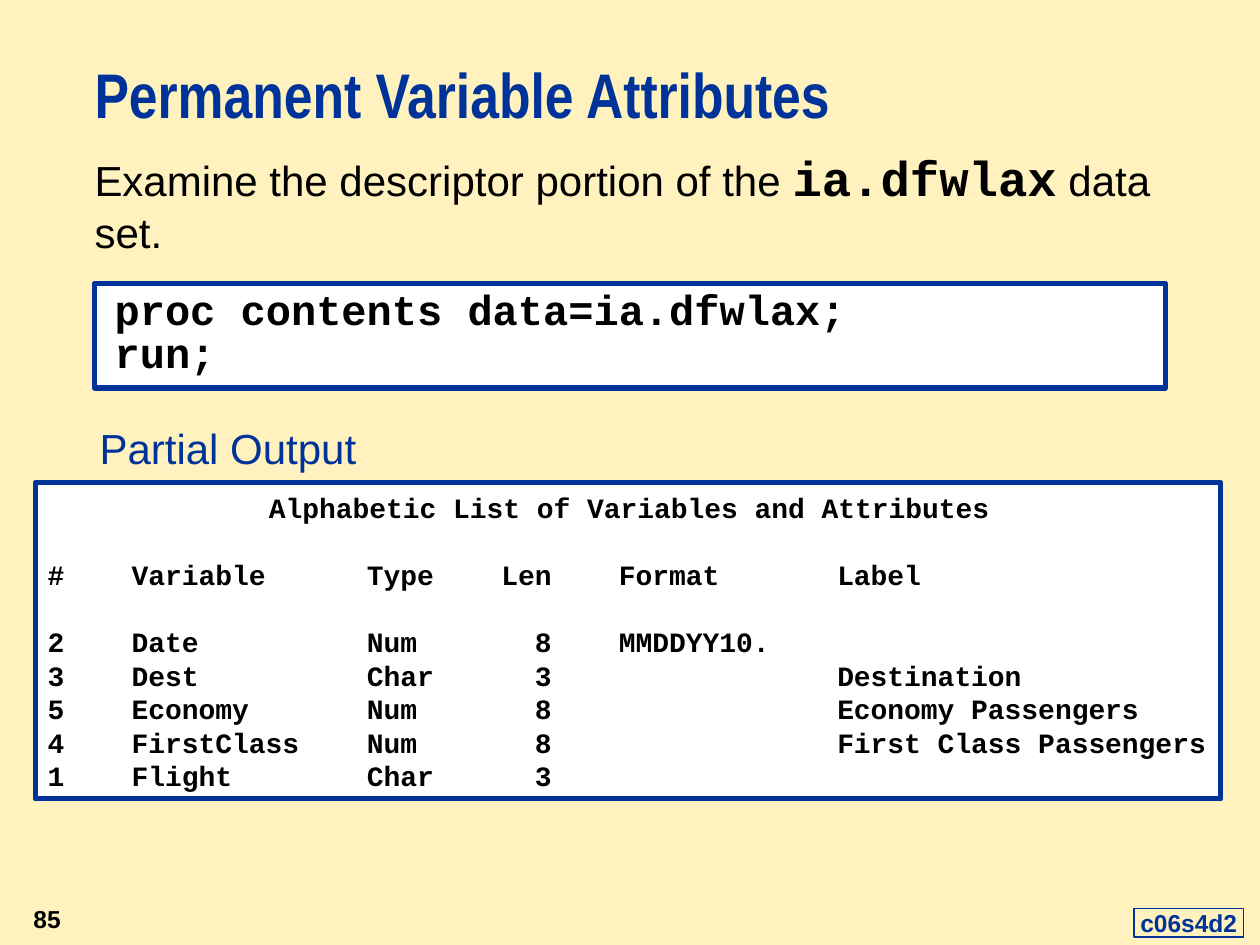
from pptx import Presentation
from pptx.dml.color import RGBColor
from pptx.enum.shapes import MSO_SHAPE
from pptx.enum.text import MSO_ANCHOR, PP_ALIGN
from pptx.oxml.ns import qn
from pptx.util import Inches, Pt
from lxml import etree

CREAM, WHITE, BLUE, BLACK = "FFF2BE", "FFFFFF", "003399", "000000"

TITLE = {"name": "Arial Narrow", "size": Pt(36), "bold": True}
BODY = {"name": "Arial", "size": Pt(24), "bold": False}
DATASET = {"name": "Courier New", "size": Pt(28), "bold": True}
CODE = {"name": "Courier New", "size": Pt(24), "bold": True}
LISTING = {"name": "Courier New", "size": Pt(16), "bold": True}
FOOTER = {"name": "Arial", "size": Pt(14), "bold": True}

CODE_LINES = ["proc contents data=ia.dfwlax;", "run;"]
LISTING_TITLE = "Alphabetic List of Variables and Attributes"
ROWS = [
    ("#", "Variable", "Type", "Len", "Format", "Label"),
    ("2", "Date", "Num", "8", "MMDDYY10."),
    ("3", "Dest", "Char", "3", "", "Destination"),
    ("5", "Economy", "Num", "8", "", "Economy Passengers"),
    ("4", "FirstClass", "Num", "8", "", "First Class Passengers"),
    ("1", "Flight", "Char", "3"),
]
CHARACTER_WIDTH = 0.6 * 16 / 72
# Tab stops as character columns of the listing
COLUMN_STOPS = [(5, "l"), (19, "l"), (30, "r"), (34, "l"), (47, "l")]
BLANK_LINE = Pt(19.2)


def color(value):
    return RGBColor.from_string(value)


def apply(target, values):
    for name, value in values.items():
        setattr(target, name, value)


def set_frame(shape, insets=(0, 0, 0, 0), anchor=MSO_ANCHOR.TOP, wrap=True):
    left, top, right, bottom = (Inches(inset) for inset in insets)
    apply(shape.text_frame, {
        "margin_left": left, "margin_top": top,
        "margin_right": right, "margin_bottom": bottom,
        "vertical_anchor": anchor, "word_wrap": wrap,
    })
    return shape.text_frame


def add_span(para, text, style, ink=BLACK):
    span = para.add_run()
    span.text = text
    apply(span.font, style)
    span.font.color.rgb = color(ink)


def next_para(frame, align=PP_ALIGN.LEFT):
    """Return the unused first paragraph, or a new one."""
    first = frame.paragraphs[0]
    para = frame.add_paragraph() if first.runs else first
    para.alignment = align
    return para


def add_tabs(para):
    tabs = etree.SubElement(para._p.get_or_add_pPr(), qn("a:tabLst"))
    for column, align in COLUMN_STOPS:
        position = Inches(column * CHARACTER_WIDTH)
        etree.SubElement(tabs, qn("a:tab"), pos=str(position), algn=align)


def add_text(page, box):
    return page.shapes.add_textbox(*map(Inches, box))


def add_frame_box(page, box, line_width, fill=None):
    shape = page.shapes.add_shape(MSO_SHAPE.RECTANGLE, *map(Inches, box))
    shape.shadow.inherit = False
    if fill:
        shape.fill.solid()
        shape.fill.fore_color.rgb = color(fill)
    else:
        shape.fill.background()
    shape.line.color.rgb = color(BLUE)
    shape.line.width = Pt(line_width)
    return shape


def place_title(page, box):
    title = page.shapes.title
    apply(title, dict(zip(("left", "top", "width", "height"), map(Inches, box))))
    para = next_para(set_frame(title))
    para.line_spacing = Pt(39)
    add_span(para, "Permanent Variable Attributes", TITLE, BLUE)


def place_introduction(page, box):
    para = next_para(set_frame(add_text(page, box)))
    add_span(para, "Examine the descriptor portion of the ", BODY)
    add_span(para, "ia.dfwlax", DATASET)
    add_span(para, " data set.", BODY)


def place_code(page, box):
    shape = add_frame_box(page, box, 3, WHITE)
    frame = set_frame(shape, (0.16, 0.06, 0.06, 0.06))
    for line in CODE_LINES:
        para = next_para(frame)
        para.line_spacing = 0.85
        add_span(para, line, CODE)


def place_output_label(page, box):
    frame = set_frame(add_text(page, box), anchor=MSO_ANCHOR.BOTTOM)
    add_span(next_para(frame), "Partial Output", BODY, BLUE)


def place_listing(page, box):
    shape = add_frame_box(page, box, 3, WHITE)
    frame = set_frame(shape, (0.1, 0.06, 0.08, 0.06))
    add_span(next_para(frame, PP_ALIGN.CENTER), LISTING_TITLE, LISTING)
    for index, row in enumerate(ROWS):
        para = next_para(frame)
        if index < 2:
            para.space_before = BLANK_LINE
        add_tabs(para)
        add_span(para, "\t".join(row), LISTING)


def place_page_number(page, box):
    frame = set_frame(add_text(page, box), (0.1, 0.05, 0.1, 0.05), MSO_ANCHOR.MIDDLE)
    add_span(next_para(frame, PP_ALIGN.RIGHT), "85", FOOTER)


def place_program_tag(page, box):
    shape = add_frame_box(page, box, 1)
    frame = set_frame(shape, (0.05, 0, 0.05, 0), MSO_ANCHOR.BOTTOM, wrap=False)
    add_span(next_para(frame), "c06s4d2", FOOTER, BLUE)


def main():
    deck = Presentation()
    deck.slide_width, deck.slide_height = Inches(10), Inches(7.5)
    page = deck.slides.add_slide(deck.slide_layouts[5])
    page.background.fill.solid()
    page.background.fill.fore_color.rgb = color(CREAM)

    place_title(page, (0.75, 0.5, 8.58, 0.75))
    place_introduction(page, (0.75, 1.17, 8.59, 0.97))
    place_code(page, (0.75, 2.25, 8.5, 0.83))
    place_output_label(page, (0.79, 3.35, 2.58, 0.4))
    place_listing(page, (0.28, 3.83, 9.41, 2.51))
    place_page_number(page, (0, 7.08, 0.58, 0.42))
    place_program_tag(page, (9, 7.21, 0.87, 0.23))
    deck.save("out.pptx")


if __name__ == "__main__":
    main()
